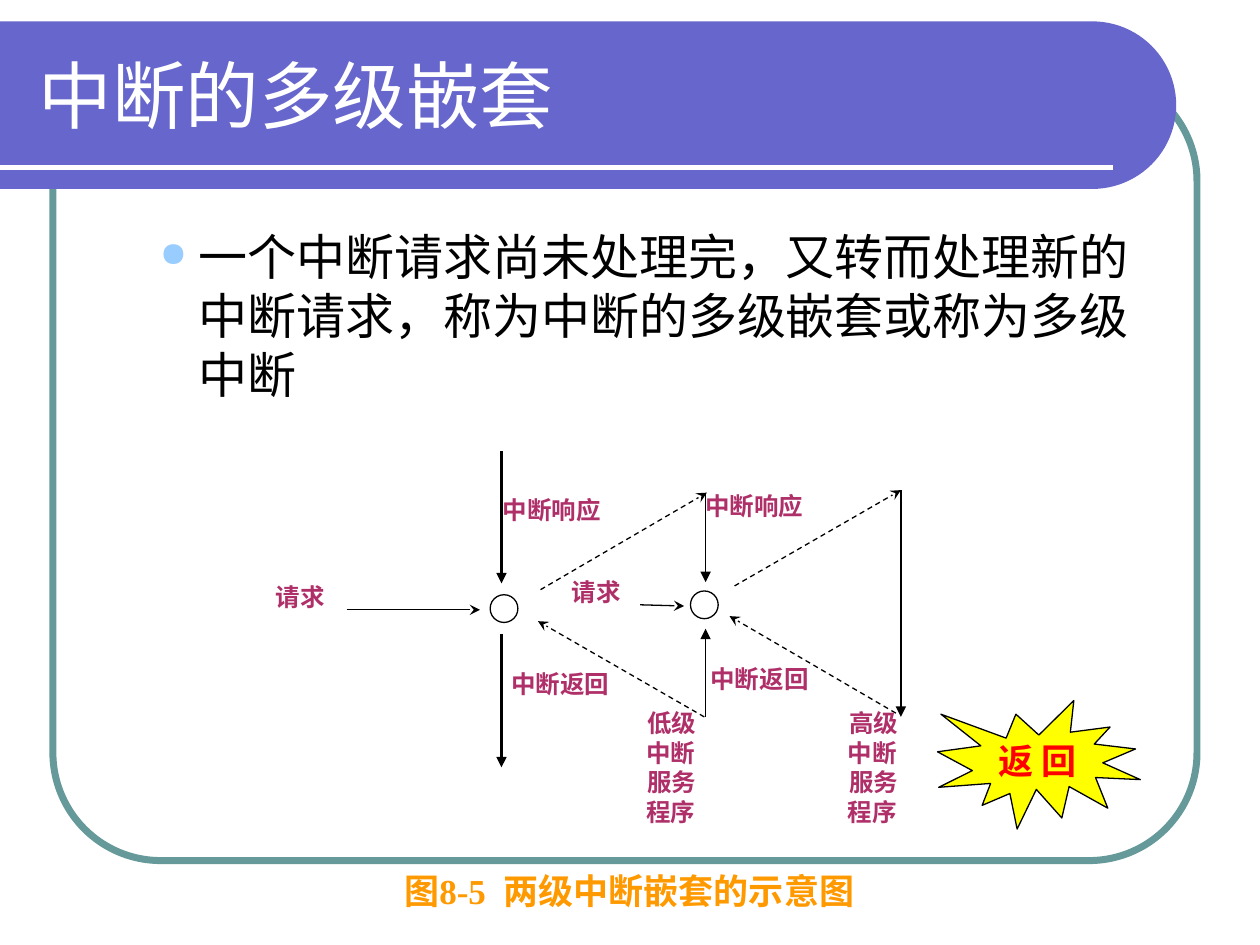
from math import cos, pi, sin
from typing import NamedTuple

from lxml.etree import SubElement
from pptx import Presentation
from pptx.dml.color import RGBColor
from pptx.enum.dml import MSO_LINE_DASH_STYLE as Dash
from pptx.enum.shapes import MSO_CONNECTOR as Connector, MSO_SHAPE as Preset
from pptx.enum.text import MSO_ANCHOR as Anchor, PP_ALIGN as Align
from pptx.oxml.ns import qn
from pptx.util import Inches, Pt

COLORS = {
    "banner": "6666CC", "frame": "669999", "white": "FFFFFF", "black": "000000",
    "bullet": "99CCFF", "label": "AF2F69", "caption": "FF9900",
    "burst": "FFFF00", "return": "FF0000",
}
EAST_ASIAN_FONT = "Noto Sans CJK SC"


class Arrow(NamedTuple):
    start: tuple[float, float]
    end: tuple[float, float]
    head: str = "stealth"
    width: float = 0.75
    dashed: bool = False


class Label(NamedTuple):
    text: str
    left: float
    top: float
    width: float = 1.28


MAIN_X, LOW_X, HIGH_X = 3.98, 5.6, 7.15
ARROWS = [
    Arrow((MAIN_X, 3.58), (MAIN_X, 4.63), "triangle", 1.5),
    Arrow((MAIN_X, 5.03), (MAIN_X, 6.09), "triangle", 1.5),
    Arrow((2.75, 4.84), (3.81, 4.84)),
    Arrow((5.08, 4.8), (5.43, 4.81)),
    Arrow((4.29, 4.68), (5.61, 3.91), dashed=True),
    Arrow((5.59, 5.69), (4.27, 4.93), dashed=True),
    Arrow((5.83, 4.65), (HIGH_X, 3.89), dashed=True),
    Arrow((7.11, 5.66), (5.79, 4.89), dashed=True),
    Arrow((LOW_X, 3.92), (LOW_X, 4.62), "triangle"),
    Arrow((LOW_X, 5.69), (LOW_X, 4.99), "triangle"),
    Arrow((HIGH_X, 3.89), (HIGH_X, 5.69), "triangle"),
]
BREAKPOINTS = [(3.89, 4.72), (5.48, 4.69)]
LABELS = [
    Label("请求", 2.09, 4.57, 0.88),
    Label("请求", 4.44, 4.53, 0.88),
    Label("中断响应", 3.89, 3.88),
    Label("中断响应", 5.5, 3.85),
    Label("中断返回", 3.96, 5.26),
    Label("中断返回", 5.54, 5.22),
]
SERVICE_COLUMNS = [("低级", 5.04), ("高级", 6.64)]
SERVICE_TOP, SERVICE_STEP = 5.57, 0.235


def color(name: str) -> RGBColor:
    return RGBColor.from_string(COLORS[name])


def style_shape(shape, fill: str | None = None, line: str | None = None,
                width: float = 0.75) -> None:
    shape.shadow.inherit = False
    if fill:
        shape.fill.solid()
        shape.fill.fore_color.rgb = color(fill)
    else:
        shape.fill.background()
    if line:
        shape.line.color.rgb = color(line)
        shape.line.width = Pt(width)
    else:
        shape.line.fill.background()


def write_text(shape, text: str, *, size: float, ink: str,
               font: str = "Times New Roman", bold: bool = False,
               align=Align.LEFT, anchor=Anchor.TOP, wrap: bool = True):
    frame = shape.text_frame
    frame.word_wrap = wrap
    frame.vertical_anchor = anchor
    paragraph = frame.paragraphs[0]
    paragraph.alignment = align
    run = paragraph.add_run()
    run.text = text
    run.font.name = font
    run.font.size = Pt(size)
    run.font.bold = bold
    run.font.color.rgb = color(ink)
    SubElement(run.font._element, qn("a:ea"), typeface=EAST_ASIAN_FONT)
    return paragraph


def add_text(slide, text: str, left: float, top: float, width: float,
             height: float, **text_format):
    box = slide.shapes.add_textbox(*map(Inches, (left, top, width, height)))
    return write_text(box, text, **text_format)


def add_bullet(paragraph, margin: float, indent: float) -> None:
    properties = paragraph._p.get_or_add_pPr()
    properties.set("marL", str(Inches(margin)))
    properties.set("indent", str(Inches(indent)))
    bullet_color = SubElement(properties, qn("a:buClr"))
    SubElement(bullet_color, qn("a:srgbClr"), val=COLORS["bullet"])
    SubElement(properties, qn("a:buSzPct"), val="70000")
    SubElement(properties, qn("a:buChar"), char="●")


def add_line(slide, start: tuple[float, float], end: tuple[float, float],
             ink: str, width: float):
    line = slide.shapes.add_connector(
        Connector.STRAIGHT, *map(Inches, (*start, *end)))
    line.line.color.rgb = color(ink)
    line.line.width = Pt(width)
    SubElement(line._element.spPr, qn("a:effectLst"))
    return line


def add_arrow(slide, arrow: Arrow) -> None:
    line = add_line(slide, arrow.start, arrow.end, "black", arrow.width)
    if arrow.dashed:
        line.line.dash_style = Dash.DASH
    SubElement(line.line._get_or_add_ln(), qn("a:tailEnd"), type=arrow.head)


def add_banner(slide) -> None:
    """Draw the title band, flat on the left and half round on the right."""
    top, bottom, center_x, steps = 0.17, 1.5, 8.67, 48
    radius = (bottom - top) / 2
    angles = [pi * step / steps - pi / 2 for step in range(steps + 1)]
    arc = [(Inches(center_x + radius * cos(angle)),
            Inches(top + radius + radius * sin(angle))) for angle in angles]
    builder = slide.shapes.build_freeform(0, Inches(top))
    builder.add_line_segments([*arc, (0, Inches(bottom))], close=True)
    style_shape(builder.convert_to_shape(), fill="banner")


def add_frame(slide) -> None:
    frame = slide.shapes.add_shape(
        Preset.ROUNDED_RECTANGLE, *map(Inches, (0.42, 0.58, 9.08, 6.25)))
    frame.adjustments[0] = 0.137
    style_shape(frame, line="frame", width=4)


def add_diagram(slide) -> None:
    for arrow in ARROWS:
        add_arrow(slide, arrow)
    for left, top in BREAKPOINTS:
        circle = slide.shapes.add_shape(
            Preset.OVAL, *map(Inches, (left, top, 0.22, 0.22)))
        style_shape(circle, line="black")
    service_labels = [
        Label(text, left - 0.01 * (row % 2), SERVICE_TOP + row * SERVICE_STEP, 0.88)
        for level, left in SERVICE_COLUMNS
        for row, text in enumerate((level, "中断", "服务", "程序"))
    ]
    for label in LABELS + service_labels:
        add_text(slide, label.text, label.left, label.top, label.width, 0.62,
                 size=14, ink="label", bold=True, align=Align.JUSTIFY)
    add_text(slide, "图8-5  两级中断嵌套的示意图", 3.11, 6.85, 5.29, 0.76,
             size=20, ink="caption", bold=True, align=Align.JUSTIFY)


def add_return_burst(slide) -> None:
    burst = slide.shapes.add_shape(
        Preset.EXPLOSION1, *map(Inches, (7.44, 5.56, 1.61, 1.02)))
    style_shape(burst, fill="burst", line="black")
    write_text(burst, "返 回", size=20, ink="return", font=EAST_ASIAN_FONT,
               bold=True, align=Align.CENTER, anchor=Anchor.MIDDLE, wrap=False)


def main() -> None:
    presentation = Presentation()
    presentation.slide_width, presentation.slide_height = Inches(10), Inches(7.5)
    slide = presentation.slides.add_slide(presentation.slide_layouts[6])
    add_frame(slide)
    add_banner(slide)
    add_line(slide, (0, 1.33), (8.83, 1.33), "white", 3)
    add_text(slide, "中断的多级嵌套", 0.21, 0.25, 8.77, 1,
             size=42, ink="white", font="Arial", anchor=Anchor.MIDDLE)
    body = add_text(
        slide, "一个中断请求尚未处理完，又转而处理新的中断请求，称为中断的多级嵌套或称为多级中断",
        0.67, 1.75, 8.67, 4.83, size=28, ink="black", font="Arial")
    body.space_before = Pt(7)
    add_bullet(body, 0.81, -0.31)
    add_diagram(slide)
    add_return_burst(slide)
    presentation.save("out.pptx")


if __name__ == "__main__":
    main()
